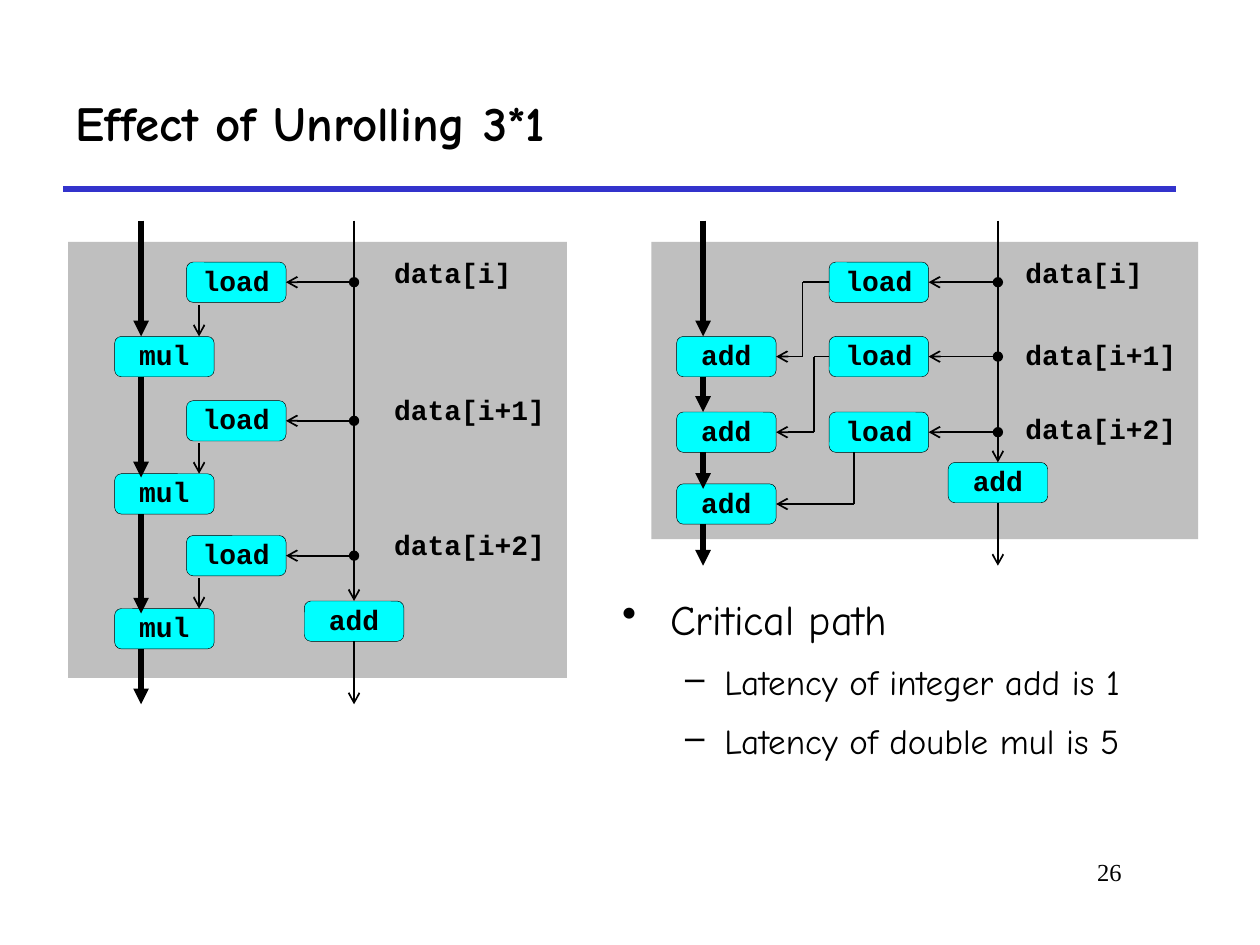
from itertools import pairwise

from lxml import etree
from pptx import Presentation, util as u
from pptx.dml.color import RGBColor
from pptx.enum import shapes, text
from pptx.oxml import ns

INCH = u.Inches
hue = RGBColor.from_string
BLACK, GRAY, CYAN, BLUE = "000000", "BFBFBF", "00FFFF", "3333CC"
BOX_W, BOX_H = 0.79, 0.32
TOP = 1.75

deck = Presentation()
deck.slide_width, deck.slide_height = INCH(10), INCH(7.5)
slide = deck.slides.add_slide(deck.slide_layouts[5])
parts = slide.shapes


def wire(*stops, width=1, tone=BLACK, head="none", tail="arrow"):
    """Join the stops by straight lines; the ends go on the first and last."""
    legs = list(pairwise(stops))
    for n, (start, end) in enumerate(legs):
        line = parts.add_connector(shapes.MSO_CONNECTOR.STRAIGHT,
                                   *(INCH(v) for v in start + end))
        line.line.width = u.Pt(width)
        line.line.color.rgb = hue(tone)
        props = line._element.spPr
        stroke = line.line._get_or_add_ln()
        if n == 0:
            etree.SubElement(stroke, ns.qn("a:headEnd"), type=head)
        if n == len(legs) - 1:
            etree.SubElement(stroke, ns.qn("a:tailEnd"), type=tail)
        etree.SubElement(props, ns.qn("a:effectLst"))


def block(x, y, w, h, fill, words=""):
    """Draw a plain panel, a rounded operation box, or a bare label."""
    spot = [INCH(v) for v in (x, y, w, h)]
    if fill:
        kind = shapes.MSO_SHAPE.ROUNDED_RECTANGLE if words else shapes.MSO_SHAPE.RECTANGLE
        item = parts.add_shape(kind, *spot)
        item.shadow.inherit = False
        item.fill.solid()
        item.fill.fore_color.rgb = hue(fill)
        item.line.fill.background()
    else:
        item = parts.add_textbox(*spot)
    frame = item.text_frame
    frame.word_wrap = True
    if not words:
        return
    para = frame.paragraphs[0]
    para.text = words
    para.line_spacing = 0.9
    para.font.name, para.font.size, para.font.bold = "Courier New", u.Pt(16), True
    para.font.color.rgb = hue(BLACK)
    if fill:
        item.line.color.rgb = hue(BLACK)
        item.line.width = u.Pt(0.25)
        para.alignment = text.PP_ALIGN.CENTER
        frame.vertical_anchor = text.MSO_ANCHOR.MIDDLE
        frame.margin_left = frame.margin_right = 0
        frame.margin_top = frame.margin_bottom = 0


# Title and rule
title = parts.title
title.left, title.top, title.width, title.height = map(INCH, (0.5, 0.5, 8.83, 1))
title.text_frame.vertical_anchor = text.MSO_ANCHOR.MIDDLE
para = title.text_frame.paragraphs[0]
para.text = "Effect of Unrolling 3*1"
para.alignment = text.PP_ALIGN.LEFT
para.line_spacing = 0.9
para.font.name, para.font.size, para.font.bold = "Comic Neue", u.Pt(28), True
para.font.color.rgb = hue(BLACK)
wire((0.5, 1.5), (9.33, 1.5), width=3, tone=BLUE, tail="none")

# Both data flows: columns (x) and rows (y) of each
flows = [
    dict(panel=(0.54, 1.92, 3.96, 3.46), op="mul", op_x=0.91, load_x=1.48,
         main_x=1.12, bus_x=2.81, tag_x=3.03, add_y=4.77,
         ops=(2.67, 3.76, 4.83), loads=(2.08, 3.18, 4.25),
         tags=(2.01, 3.1, 4.17), tips=(2.67, 3.79, 4.87, 5.59)),
    dict(panel=(5.17, 1.92, 4.34, 2.36), op="add", op_x=5.37, load_x=6.58,
         main_x=5.58, bus_x=7.92, tag_x=8.04, add_y=3.67,
         ops=(2.67, 3.27, 3.84), loads=(2.08, 2.67, 3.27),
         tags=(2.01, 2.66, 3.25), tips=(2.67, 3.27, 3.88, 4.49)),
]
names = ("data[i]", "data[i+1]", "data[i+2]")
for flow in flows:
    bus, main, add = flow["bus_x"], flow["main_x"], flow["add_y"]
    block(*flow["panel"], GRAY)
    for name, op, load, tag in zip(names, flow["ops"], flow["loads"], flow["tags"]):
        block(flow["load_x"], load, BOX_W, BOX_H, CYAN, "load")
        block(flow["op_x"], op, BOX_W, BOX_H, CYAN, flow["op"])
        block(flow["tag_x"], tag, 0.3 + 0.13 * len(name), 0.34, None, name)
        mid = load + BOX_H / 2
        wire((bus, mid), (flow["load_x"] + BOX_W, mid), head="oval")
    block(bus - BOX_W / 2, add, BOX_W, BOX_H, CYAN, "add")
    wire((bus, TOP), (bus, add))
    wire((bus, add + BOX_H), (bus, flow["tips"][-1]))
    starts = [TOP] + [op + BOX_H for op in flow["ops"]]
    for start, tip in zip(starts, flow["tips"]):
        wire((main, start), (main, tip), width=3, tail="triangle")

# From each load to its operation
left, right = flows
for load, op in zip(left["loads"], left["ops"]):
    wire((1.58, load + 0.34), (1.58, op))
edge = right["op_x"] + BOX_W
for load, op, turn in zip(right["loads"], right["ops"], (6.37, 6.46)):
    mid, goal = load + BOX_H / 2, op + BOX_H / 2
    wire((right["load_x"], mid), (turn, mid), (turn, goal), (edge, goal))
wire((6.78, right["loads"][2] + BOX_H), (6.78, 4), (edge, 4))

# Remarks
notes = parts.add_textbox(*map(INCH, (4.84, 4.58, 5, 1.8))).text_frame
notes.word_wrap = True
remarks = [
    ("Critical path", 0, "•", 24, 0.38, 0.38),
    ("Latency of integer add is 1", 1, "–", 20, 0.81, 0.31),
    ("Latency of double mul is 5", 1, "–", 20, 0.81, 0.31),
]
for n, (words, level, mark, size, indent, hang) in enumerate(remarks):
    para = notes.add_paragraph() if n else notes.paragraphs[0]
    para.text = words
    para.level = level
    para.line_spacing = 1.2
    if n:
        para.space_before = u.Pt(5)
    props = para._p.get_or_add_pPr()
    props.set("marL", str(INCH(indent)))
    props.set("indent", str(-INCH(hang)))
    etree.SubElement(props, ns.qn("a:buChar"), char=mark)
    para.font.name, para.font.size = "Comic Neue", u.Pt(size)
    para.font.color.rgb = hue(BLACK)

# Slide number
foot = parts.add_textbox(*map(INCH, (7.58, 6.75, 1.42, 0.5))).text_frame
foot.word_wrap = True
para = foot.paragraphs[0]
para.text = "26"
para.alignment = text.PP_ALIGN.RIGHT
para.font.name, para.font.size = "Times New Roman", u.Pt(14)
para.font.color.rgb = hue(BLACK)

deck.save("out.pptx")
